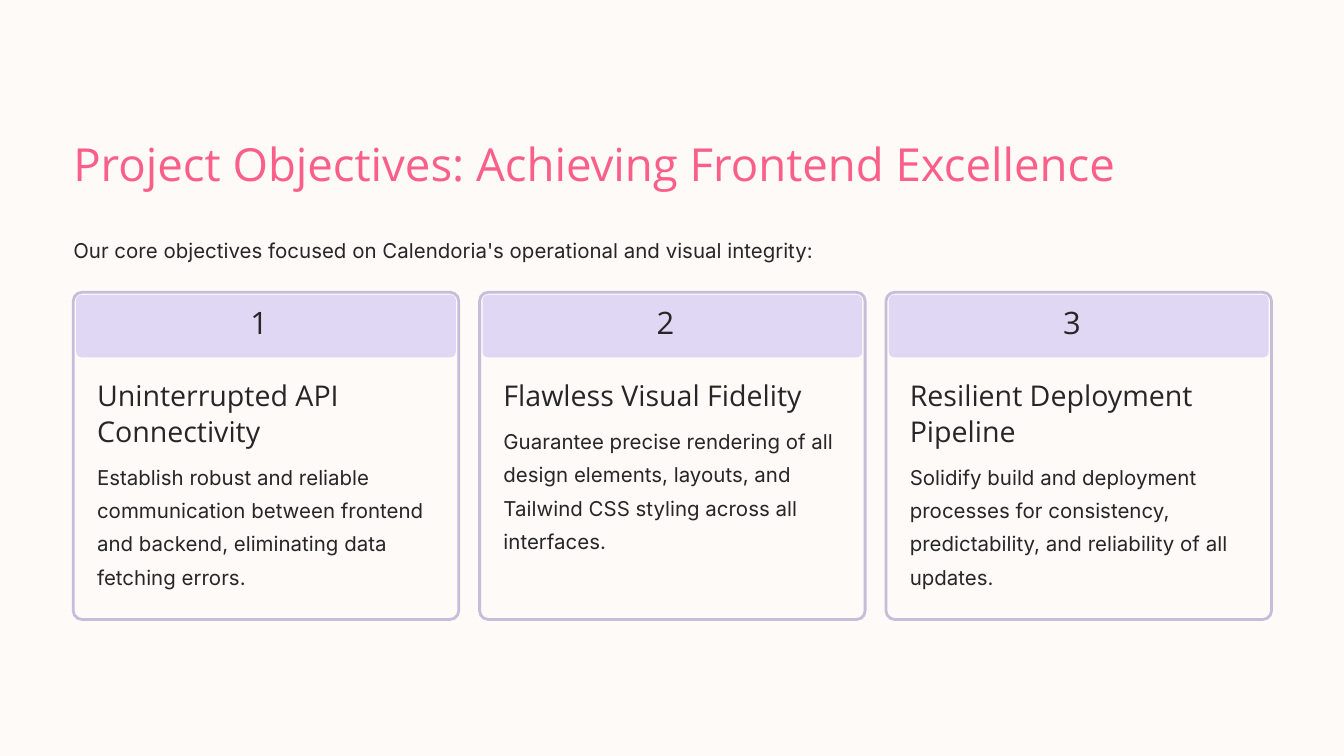
from pptx import Presentation
from pptx import util as u
from pptx.dml.color import RGBColor
from pptx.enum import shapes, text

PAPER, PINK, INK = "FDFAF7", "F95F88", "272525"
LILAC, BORDER = "E0D7F4", "C6BDDA"
LEFT = 2.77


def write(content, x, y, w, h, size, spacing, font="Inter", color=INK, sp=None):
    """Put text in a new text box, or in the placeholder sp; lengths in cm."""
    box = [u.Cm(v) for v in (x, y, w, h)]
    if sp is None:
        sp = s.shapes.add_textbox(*box)
    sp.left, sp.top, sp.width, sp.height = box
    tf = sp.text_frame
    tf.word_wrap = True
    tf.auto_size = text.MSO_AUTO_SIZE.NONE
    tf.vertical_anchor = text.MSO_ANCHOR.TOP
    tf.margin_left = tf.margin_right = tf.margin_top = tf.margin_bottom = 0
    p = tf.paragraphs[0]
    p.alignment = text.PP_ALIGN.LEFT
    p.line_spacing = u.Pt(spacing)
    r = p.add_run()
    r.text = content
    r.font.name = font
    r.font.size = u.Pt(size)
    r.font.color.rgb = RGBColor.from_string(color)


def rounded(x, y, w, h, radius, fill, line=None):
    sp = s.shapes.add_shape(shapes.MSO_SHAPE.ROUNDED_RECTANGLE,
                            *[u.Cm(v) for v in (x, y, w, h)])
    sp.adjustments[0] = radius / h
    sp.shadow.inherit = False
    sp.fill.solid()
    sp.fill.fore_color.rgb = RGBColor.from_string(fill)
    if line:
        sp.line.color.rgb = RGBColor.from_string(line)
        sp.line.width = u.Pt(3)
    else:
        sp.line.fill.background()


prs = Presentation()
prs.slide_width, prs.slide_height = u.Cm(50.8), u.Cm(28.58)
s = prs.slides.add_slide(prs.slide_layouts[5])
s.background.fill.solid()
s.background.fill.fore_color.rgb = RGBColor.from_string(PAPER)

write("Project Objectives: Achieving Frontend Excellence", LEFT, 5.05, 39.67, 2.26,
      48.8, 61.2, font="Open Sans", color=PINK, sp=s.shapes.title)
write("Our core objectives focused on Calendoria's operational and visual integrity:",
      LEFT, 8.66, 45.29, 1.5, 21.9, 35.6)

# Heading, number of heading lines, description
objectives = [
    ("Uninterrupted API Connectivity", 2,
     "Establish robust and reliable communication between frontend and backend, "
     "eliminating data fetching errors."),
    ("Flawless Visual Fidelity", 1,
     "Guarantee precise rendering of all design elements, layouts, and "
     "Tailwind CSS styling across all interfaces."),
    ("Resilient Deployment Pipeline", 2,
     "Solidify build and deployment processes for consistency, predictability, "
     "and reliability of all updates."),
]
CARD_W, PITCH, HEADING_TOP, HEADING_LINE = 14.57, 15.36, 14.25, 1.35

for i, (heading, lines, description) in enumerate(objectives):
    x = LEFT + i * PITCH
    heading_h = lines * HEADING_LINE
    rounded(x, 11.05, CARD_W, 12.37, 0.33, PAPER, line=BORDER)
    rounded(x + 0.11, 11.15, CARD_W - 0.22, 2.36, 0.2, LILAC)
    write(str(i + 1), x + 6.69, 11.71, 1.19, 1.35, 33.1, 33.1, font="Open Sans")
    write(heading, x + 0.9, HEADING_TOP, 12.78, heading_h, 30.6, 38.1, font="Open Sans")
    write(description, x + 0.9, HEADING_TOP + heading_h + 0.3, 12.78, 5.28, 21.9, 35.6)

prs.save("out.pptx")
